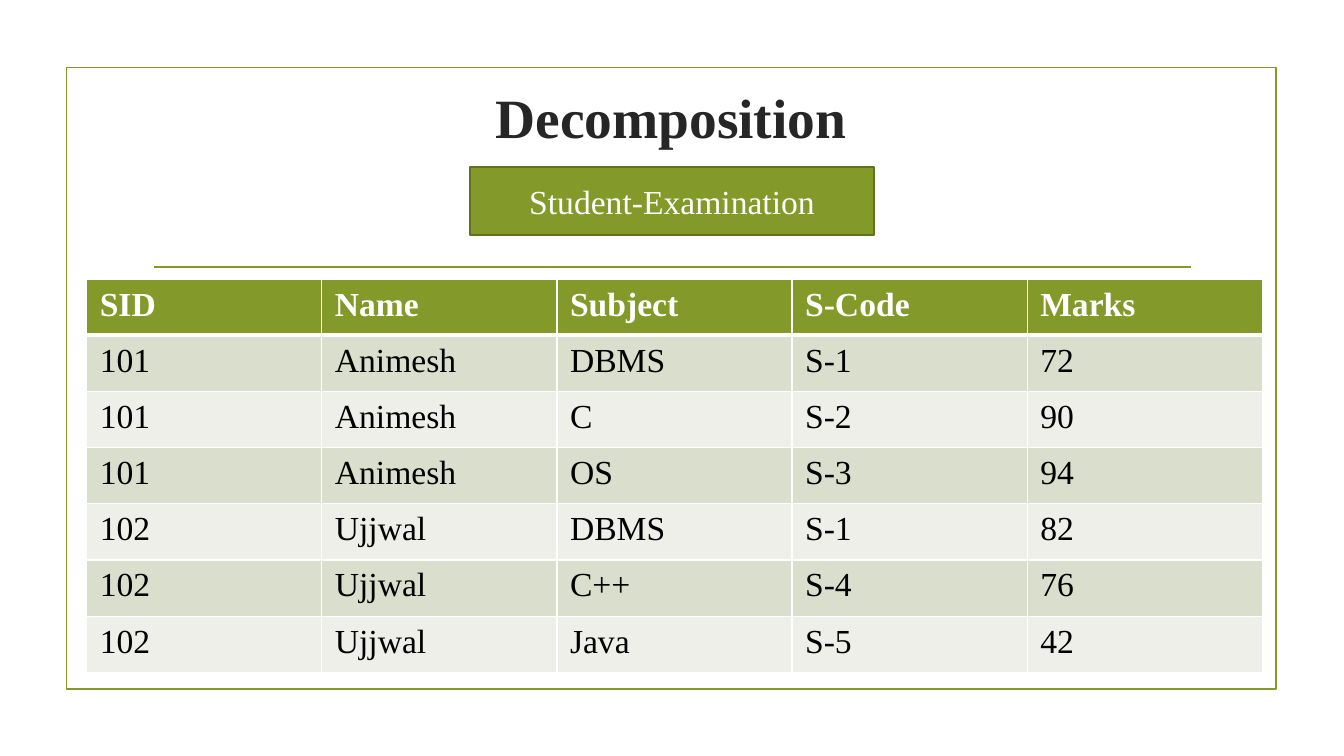
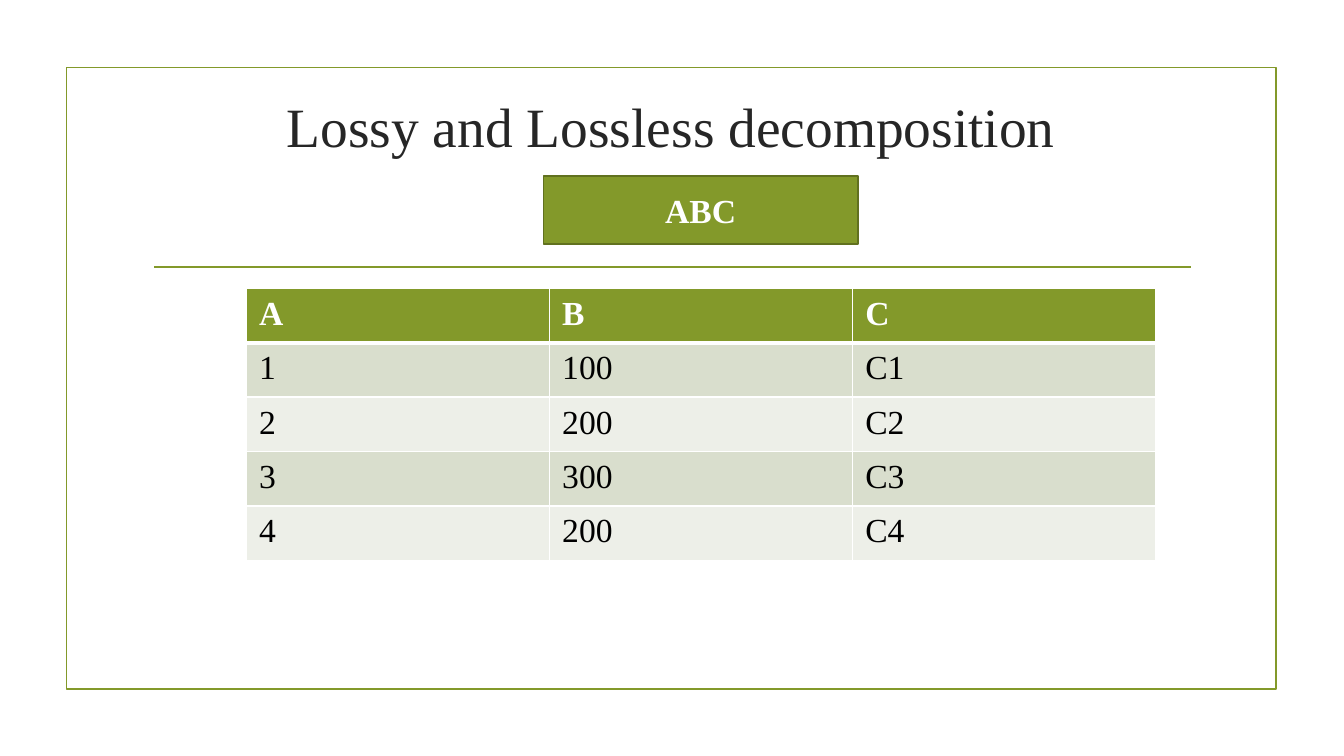
from pptx import Presentation
from pptx.dml.color import RGBColor as RGB
from pptx.enum.shapes import MSO_CONNECTOR as Line, MSO_SHAPE as Shape
from pptx.enum.text import MSO_ANCHOR as Anchor, MSO_AUTO_SIZE as Fit, PP_ALIGN as Align
from pptx.oxml.ns import qn
from pptx.util import Inches, Pt
from lxml.etree import SubElement as Sub

WIDE, HIGH = Inches(13.33), Inches(7.5)
GREEN, OLIVE = RGB(0x83, 0x99, 0x2A), RGB(0x61, 0x71, 0x1F)
DARK, BLACK, WHITE = RGB(0x26, 0x26, 0x26), RGB(0, 0, 0), RGB(255, 255, 255)
BANDS = RGB(0xD9, 0xDE, 0xCD), RGB(0xED, 0xEF, 0xE8)
FACE = "Times New Roman"
HEAD = {"name": FACE, "size": Pt(39.6)}
BODY = {"name": FACE, "size": Pt(24)}
PAD = {"margin_left": Inches(0.13), "margin_right": Inches(0.13),
       "margin_top": Inches(0.07), "margin_bottom": Inches(0.07)}
MARKS = [
    ("SID", "Name", "Subject", "S-Code", "Marks"),
    ("101", "Animesh", "DBMS", "S-1", "72"),
    ("101", "Animesh", "C", "S-2", "90"),
    ("101", "Animesh", "OS", "S-3", "94"),
    ("102", "Ujjwal", "DBMS", "S-1", "82"),
    ("102", "Ujjwal", "C++", "S-4", "76"),
    ("102", "Ujjwal", "Java", "S-5", "42"),
]
ABC = [
    ("A", "B", "C"),
    ("1", "100", "C1"),
    ("2", "200", "C2"),
    ("3", "300", "C3"),
    ("4", "200", "C4"),
]


def area(x, y, w, h):
    """Turn percent shares of the slide into left, top, width, height."""
    return [round(side * part / 100)
            for side, part in zip((WIDE, HIGH, WIDE, HIGH), (x, y, w, h))]


def apply(item, form):
    for key, value in form.items():
        setattr(item, key, value)


def write(frame, text, form, color, bold, align=Align.CENTER):
    frame.text = text
    para = frame.paragraphs[0]
    para.alignment = align
    font = para.runs[0].font
    apply(font, form)
    font.bold = bold
    font.color.rgb = color


def stroke(item, color):
    item.line.color.rgb = color
    item.line.width = Pt(1.25)


def box(slide, place, edge, fill=None):
    shape = slide.shapes.add_shape(Shape.RECTANGLE, *area(*place))
    shape.shadow.inherit = False
    stroke(shape, edge)
    if fill is None:
        shape.fill.background()
    else:
        shape.fill.solid()
        shape.fill.fore_color.rgb = fill
    return shape


def decor(slide):
    """Draw the frame and the rule that every slide shares."""
    box(slide, (4.95, 8.93, 90, 82.2), GREEN)
    x, y, w, _ = area(11.48, 35.33, 77.12, 0)
    rule = slide.shapes.add_connector(Line.STRAIGHT, x, y, x + w, y)
    stroke(rule, GREEN)
    Sub(rule._element.spPr, qn("a:effectLst"))


def title(slide, text, y, bold):
    head = slide.shapes.title
    head.left, head.top, head.width, head.height = area(4.85, y, 90.15, 14.67)
    apply(head.text_frame, {"auto_size": Fit.NONE, "word_wrap": True,
                            "vertical_anchor": Anchor.MIDDLE})
    write(head.text_frame, text, HEAD, DARK, bold)


def label(slide, text, x, y, w, bold):
    tag = box(slide, (x, y, w, 8.93), OLIVE, GREEN)
    tag.text_frame.vertical_anchor = Anchor.MIDDLE
    write(tag.text_frame, text, BODY, WHITE, bold)


def border(cell, row):
    """White cell edges, thick between the header and the first row."""
    thick = {(0, "B"), (1, "T")}
    props = cell._tc.get_or_add_tcPr()
    for side in "LRTB":
        width = Pt(3 if (row, side) in thick else 1)
        edge = Sub(props, qn(f"a:ln{side}"), w=str(width))
        fill = Sub(edge, qn("a:solidFill"))
        Sub(fill, qn("a:srgbClr"), val=str(WHITE))


def grid(slide, data, place):
    x, y, w, h = area(*place)
    rows, cols = len(data), len(data[0])
    table = slide.shapes.add_table(rows, cols, x, y, w, h).table
    for r, line in enumerate(data):
        for c, text in enumerate(line):
            cell = table.cell(r, c)
            apply(cell, PAD)
            border(cell, r)
            cell.fill.solid()
            cell.fill.fore_color.rgb = BANDS[(r - 1) % 2] if r else GREEN
            write(cell.text_frame, text, BODY, BLACK if r else WHITE,
                  r == 0, Align.LEFT)


def page(deck, head, tag, data, place, span, bold):
    """Build a slide; head and tag sit at fixed heights above the table.

    head and tag are texts, place is the table's area, span is the tag's
    left and width, and bold holds the weights of head and tag.
    """
    slide = deck.slides.add_slide(deck.slide_layouts[5])
    top = place[1]
    decor(slide)
    title(slide, head, top - 28.93, bold[0])
    grid(slide, data, place)
    label(slide, tag, span[0], top - 14.8, span[1], bold[1])


def main():
    deck = Presentation()
    deck.slide_width, deck.slide_height = WIDE, HIGH
    page(deck, "Decomposition", "Student-Examination", MARKS,
         (6.45, 36.93, 87.47, 52), (34.96, 30.08), (True, False))
    page(deck, "Lossy and Lossless decomposition", "ABC", ABC,
         (18.3, 38.13, 67.67, 36), (40.43, 23.4), (False, True))
    deck.save("out.pptx")


if __name__ == "__main__":
    main()
